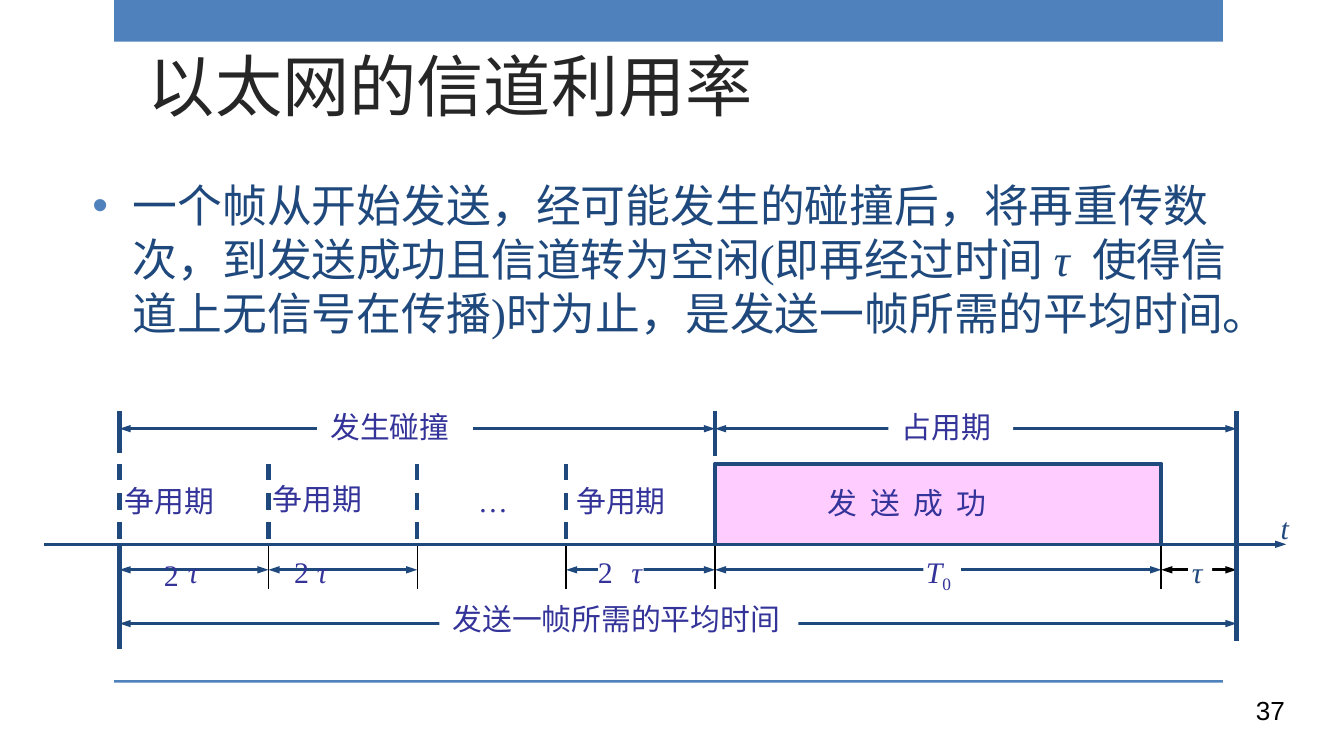
from dataclasses import dataclass

from lxml.etree import SubElement
from pptx import Presentation
from pptx.dml.color import RGBColor
from pptx.enum.dml import MSO_LINE
from pptx.enum.shapes import MSO_CONNECTOR, MSO_SHAPE
from pptx.enum.text import MSO_ANCHOR, MSO_AUTO_SIZE, PP_ALIGN
from pptx.oxml.ns import qn
from pptx.util import Inches, Pt


@dataclass(frozen=True)
class Theme:
    accent: str = "4F81BD"
    navy: str = "1F497D"
    label: str = "333399"
    title: str = "262626"
    pink: str = "FFCCFF"
    white: str = "FFFFFF"
    black: str = "000000"
    serif: str = "Times New Roman"
    sans: str = "Arial"
    heading: str = "Roboto Condensed"
    title_size: float = 36
    body_size: float = 24
    label_size: float = 16
    number_size: float = 14
    thick: float = 2.25
    medium: float = 1.5
    thin: float = 0.75


THEME = Theme()

# Time axis: four contention slots, then the frame, then the last delay
START, BUSY, SENT, END = 0.89, 5.32, 8.64, 9.2
SLOTS = [START + i * (BUSY - START) / 4 for i in range(4)]
AXIS, FRAME_TOP, PHASE_TOP = 4.05, 3.45, 3.06
PHASE_Y, SLOT_Y, TOTAL_Y = 3.19, 4.24, 4.64
LABEL_H = 0.37


def set_format(target, values):
    for name, value in values.items():
        setattr(target, name, value)


def add_run(paragraph, text, size=THEME.label_size, color=THEME.label,
            font=THEME.serif, italic=False):
    run = paragraph.add_run()
    run.text = text
    set_format(run.font, {"name": font, "size": Pt(size), "italic": italic})
    run.font.color.rgb = RGBColor.from_string(color)
    return run


def add_box(slide, left, top, width, height, fill):
    box = slide.shapes.add_shape(MSO_SHAPE.RECTANGLE, Inches(left), Inches(top),
                                 Inches(width), Inches(height))
    box.shadow.inherit = False
    box.fill.solid()
    box.fill.fore_color.rgb = RGBColor.from_string(fill)
    box.line.fill.background()
    return box


def add_label(slide, text, left, top, width, fill=None, **style):
    if fill:
        label = add_box(slide, left, top, width, LABEL_H, fill)
    else:
        label = slide.shapes.add_textbox(Inches(left), Inches(top),
                                         Inches(width), Inches(LABEL_H))
    frame = label.text_frame
    set_format(frame, {"word_wrap": False, "vertical_anchor": MSO_ANCHOR.TOP,
                       "auto_size": MSO_AUTO_SIZE.SHAPE_TO_FIT_TEXT})
    paragraph = frame.paragraphs[0]
    paragraph.alignment = PP_ALIGN.LEFT
    add_run(paragraph, text, **style)
    return paragraph


def add_line(slide, x1, y1, x2, y2, width=THEME.thick, color=THEME.navy,
             dash=None, arrows=()):
    line = slide.shapes.add_connector(MSO_CONNECTOR.STRAIGHT, Inches(x1), Inches(y1),
                                      Inches(x2), Inches(y2))
    set_format(line.line, {"width": Pt(width), "dash_style": dash})
    line.line.color.rgb = RGBColor.from_string(color)
    properties = line.line._get_or_add_ln()
    for end in arrows:
        SubElement(properties, qn(f"a:{end}"), type="triangle", w="sm", len="med")
    SubElement(line._element.spPr, qn("a:effectLst"))


def add_span(slide, x1, x2, y, color=THEME.navy):
    add_line(slide, x1, y, x2, y, THEME.medium, color, arrows=("headEnd", "tailEnd"))


def add_title(slide, text):
    title = slide.shapes.title
    set_format(title, {"left": Inches(1), "top": Inches(0.33),
                       "width": Inches(8.02), "height": Inches(0.65)})
    set_format(title.text_frame, {"vertical_anchor": MSO_ANCHOR.BOTTOM,
                                  "auto_size": MSO_AUTO_SIZE.NONE})
    paragraph = title.text_frame.paragraphs[0]
    paragraph.alignment = PP_ALIGN.LEFT
    add_run(paragraph, text, THEME.title_size, THEME.title, THEME.heading)


def add_bullet(slide, pieces):
    body = slide.shapes.add_textbox(Inches(0.59), Inches(1.04), Inches(8.74), Inches(1.77))
    set_format(body.text_frame, {"word_wrap": True, "vertical_anchor": MSO_ANCHOR.MIDDLE})
    paragraph = body.text_frame.paragraphs[0]
    paragraph.space_before = Pt(0.2 * THEME.body_size)
    properties = paragraph._p.get_or_add_pPr()
    properties.set("marL", str(Inches(0.3)))
    properties.set("indent", str(Inches(-0.3)))
    SubElement(SubElement(properties, qn("a:buClr")), qn("a:srgbClr"), val=THEME.accent)
    SubElement(properties, qn("a:buFont"), typeface=THEME.sans)
    SubElement(properties, qn("a:buChar"), char="•")
    for text, italic in pieces:
        add_run(paragraph, text, THEME.body_size, THEME.navy, italic=italic)


def add_page_number(slide, number):
    box = slide.shapes.add_textbox(Inches(7.16), Inches(5.12), Inches(2.5), Inches(0.39))
    box.text_frame.word_wrap = True
    paragraph = box.text_frame.paragraphs[0]
    paragraph.alignment = PP_ALIGN.RIGHT
    add_run(paragraph, number, THEME.number_size, THEME.black, THEME.sans)


def add_sent_frame(slide):
    corners = [(BUSY, FRAME_TOP), (SENT, FRAME_TOP), (SENT, AXIS)]
    outline = slide.shapes.build_freeform(Inches(BUSY), Inches(AXIS))
    outline.add_line_segments([(Inches(x), Inches(y)) for x, y in corners], close=False)
    sent = outline.convert_to_shape()
    sent.shadow.inherit = False
    sent.fill.solid()
    sent.fill.fore_color.rgb = RGBColor.from_string(THEME.pink)
    sent.line.width = Pt(THEME.thick)
    sent.line.color.rgb = RGBColor.from_string(THEME.navy)
    add_label(slide, "发  送  成  功", 6.06, 3.56, 1.49)


def add_spans(slide):
    for x1, x2, y in [(START, END, TOTAL_Y), (START, BUSY, PHASE_Y), (BUSY, END, PHASE_Y),
                      (BUSY, SENT, SLOT_Y), (SLOTS[3], BUSY, SLOT_Y),
                      (SLOTS[1], SLOTS[2], SLOT_Y), (START, SLOTS[1], SLOT_Y)]:
        add_span(slide, x1, x2, y)
    add_span(slide, SENT, END, SLOT_Y, THEME.black)
    # Gaps in the spans for their symbols
    for gap in [(8.84, 4.16, 0.18, 0.17), (4.45, 4.15, 0.34, 0.21), (6.87, 4.11, 0.28, 0.26)]:
        add_box(slide, *gap, THEME.white)


def add_boundaries(slide):
    for x in SLOTS:
        add_line(slide, x, FRAME_TOP, x, AXIS, dash=MSO_LINE.DASH)
    for x in [*SLOTS[1:], BUSY, SENT]:
        add_line(slide, x, AXIS, x, 4.38, THEME.thin, THEME.black)
    for x, top, bottom in [(START, AXIS, 4.83), (END, AXIS, 4.77), (START, PHASE_TOP, 3.37),
                           (BUSY, PHASE_TOP, 3.39), (END, PHASE_TOP, AXIS)]:
        add_line(slide, x, top, x, bottom)


def add_labels(slide):
    for left, top in [(0.83, 3.54), (1.93, 3.53), (4.19, 3.54)]:
        add_label(slide, "争用期", left, top, 0.93)
    add_label(slide, "…", 3.46, 3.54, 0.43)
    # Slot lengths
    for tau_left, two_left, two_top in [(1.3, 1.12, 4.09), (2.26, 2.09, 4.07), (4.6, 4.35, 4.07)]:
        add_label(slide, "τ", tau_left, 4.07, 0.28, italic=True)
        add_label(slide, "2", two_left, two_top, 0.31)
    frame_time = add_label(slide, "T", 6.79, 4.07, 0.4, italic=True)
    subscript = add_run(frame_time, "0")
    subscript.font._element.set("baseline", "-25000")
    add_label(slide, "τ", 8.77, 4.07, 0.28, color=THEME.navy, italic=True)
    add_label(slide, "t", 9.43, 3.74, 0.27, color=THEME.navy, italic=True)
    # Phase names interrupt their spans
    for text, left, top, width in [("占用期", 6.61, 2.99, 0.93), ("发生碰撞", 2.36, 2.99, 1.16),
                                   ("发送一帧所需的平均时间", 3.27, 4.42, 2.67)]:
        add_label(slide, text, left, top, width, THEME.white)


def main():
    # Widescreen page, 16:9
    deck = Presentation()
    set_format(deck, {"slide_width": Inches(10), "slide_height": Inches(10 * 9 / 16)})
    slide = deck.slides.add_slide(deck.slide_layouts[5])

    # Page frame and text
    add_box(slide, 0.85, 0, 8.25, 0.31, THEME.accent)
    add_box(slide, 0.85, 5.06, 8.25, 0.02, THEME.accent)
    add_page_number(slide, "37")
    add_title(slide, "以太网的信道利用率")
    add_bullet(slide, [
        ("一个帧从开始发送，经可能发生的碰撞后，将再重传数次，到发送成功且信道转为空闲(即再经过时间 ", False),
        ("τ  ", True),
        ("使得信道上无信号在传播)时为止，是发送一帧所需的平均时间。", False)])

    # Timing diagram
    add_spans(slide)
    add_sent_frame(slide)
    add_boundaries(slide)
    add_labels(slide)
    add_line(slide, 0.33, AXIS, 9.57, AXIS, THEME.medium, arrows=("tailEnd",))

    deck.save("out.pptx")


if __name__ == "__main__":
    main()
